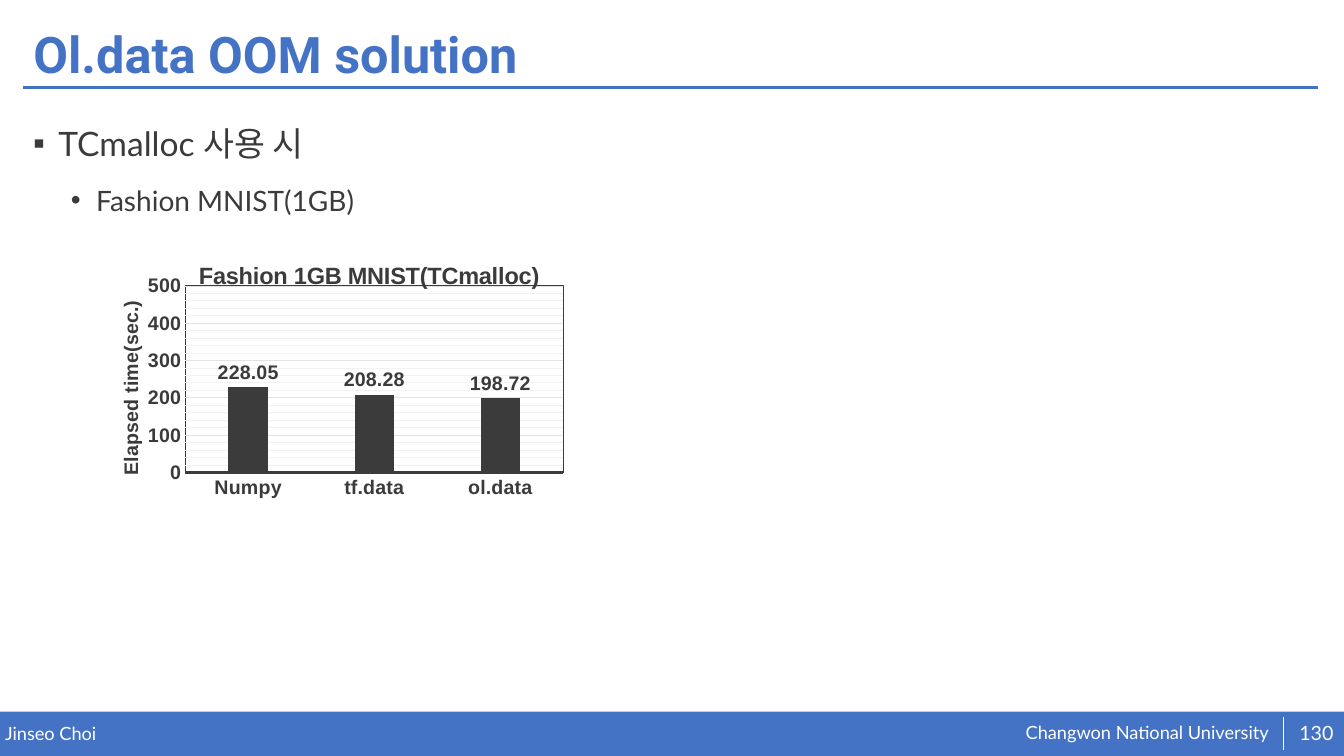
"""Build the slide on the Ol.data out-of-memory solution."""
from dataclasses import dataclass

from lxml import etree
from pptx import Presentation
from pptx.chart.data import CategoryChartData
from pptx.dml.color import RGBColor
from pptx.enum.chart import XL_CHART_TYPE, XL_LABEL_POSITION, XL_TICK_MARK
from pptx.enum.shapes import MSO_CONNECTOR, MSO_SHAPE
from pptx.enum.text import MSO_ANCHOR, PP_ALIGN
from pptx.oxml import parse_xml
from pptx.oxml.ns import nsdecls, qn
from pptx.util import Pt

BLUE = RGBColor(0x44, 0x72, 0xC4)
DARK = RGBColor(0x3B, 0x3B, 0x3B)
WHITE = RGBColor(0xFF, 0xFF, 0xFF)
MAJOR_GRID = RGBColor(0xE2, 0xE2, 0xE2)
MINOR_GRID = RGBColor(0xF2, 0xF2, 0xF2)
COLUMNS = XL_CHART_TYPE.COLUMN_CLUSTERED
OUTSIDE_END = XL_LABEL_POSITION.OUTSIDE_END
NO_TICK = XL_TICK_MARK.NONE
STRAIGHT = MSO_CONNECTOR.STRAIGHT
RECTANGLE = MSO_SHAPE.RECTANGLE
TOP, MIDDLE = MSO_ANCHOR.TOP, MSO_ANCHOR.MIDDLE
LEFT, CENTER, RIGHT = PP_ALIGN.LEFT, PP_ALIGN.CENTER, PP_ALIGN.RIGHT
TITLE_ONLY = 5
TITLE_TEXT = "Ol.data OOM solution"
ELAPSED_SECONDS = {"Numpy": 228.05, "tf.data": 208.28, "ol.data": 198.72}


@dataclass(frozen=True)
class Label:
    text: str
    left: float
    top: float
    width: float
    height: float
    size: float
    align: PP_ALIGN
    anchor: MSO_ANCHOR


@dataclass(frozen=True)
class Rule:
    start: tuple[float, float]
    end: tuple[float, float]
    color: RGBColor
    width: float


@dataclass(frozen=True)
class Bullet:
    text: str
    level: int
    mark: str
    margin: float
    size: float
    space_before: float


LABELS = [
    Label("Changwon National University", 722, 515.5, 184.1, 16.6, 13, RIGHT, TOP),
    Label("Jinseo Choi", 3.6, 516.2, 471.6, 15.8, 13, LEFT, TOP),
    Label("130", 923, 509, 34.6, 28.8, 14, CENTER, MIDDLE),
]
RULES = [
    Rule((16.6, 62.6), (941.8, 62.6), BLUE, 2),
    Rule((916.6, 511.9), (916.6, 535.7), WHITE, 0.5),
]
BULLETS = [
    Bullet("TCmalloc 사용 시", 0, "▪", 18, 24, 0),
    Bullet("Fashion MNIST(1GB)", 1, "•", 45, 20, 5),
]


def style_font(font, name: str, size: float, color: RGBColor, bold: bool = False) -> None:
    font.name, font.size, font.bold = name, Pt(size), bold
    font.color.rgb = color


def add_title(slide) -> None:
    title = slide.shapes.title
    title.left, title.top, title.width, title.height = Pt(16.6), Pt(13), Pt(926), Pt(55.4)
    title.text_frame.text = TITLE_TEXT
    title.text_frame.vertical_anchor = MIDDLE
    paragraph = title.text_frame.paragraphs[0]
    paragraph.alignment, paragraph.line_spacing = LEFT, 0.9
    style_font(paragraph.runs[0].font, "Roboto", 36, BLUE, True)


def add_footer_bar(slide) -> None:
    bar = slide.shapes.add_shape(RECTANGLE, 0, Pt(508.3), Pt(960), Pt(31.7))
    bar.shadow.inherit = False
    bar.fill.solid()
    bar.fill.fore_color.rgb = BLUE
    bar.line.fill.background()


def add_label(slide, label: Label) -> None:
    box = slide.shapes.add_textbox(Pt(label.left), Pt(label.top), Pt(label.width), Pt(label.height))
    frame = box.text_frame
    frame.margin_left = frame.margin_right = frame.margin_top = frame.margin_bottom = 0
    frame.word_wrap, frame.vertical_anchor = True, label.anchor
    frame.text = label.text
    frame.paragraphs[0].alignment = label.align
    style_font(frame.paragraphs[0].runs[0].font, "Lato", label.size, WHITE)


def add_rule(slide, rule: Rule) -> None:
    line = slide.shapes.add_connector(STRAIGHT, *map(Pt, rule.start + rule.end))
    line.line.color.rgb, line.line.width = rule.color, Pt(rule.width)
    etree.SubElement(line.element.spPr, qn("a:effectLst"))


def add_bullets(slide, bullets: list[Bullet]) -> None:
    frame = slide.shapes.add_textbox(Pt(16.6), Pt(72.7), Pt(926), Pt(405.4)).text_frame
    frame.word_wrap = True
    frame.text = "\n".join(bullet.text for bullet in bullets)
    for paragraph, bullet in zip(frame.paragraphs, bullets):
        paragraph.level, paragraph.line_spacing = bullet.level, 1.4
        paragraph.space_before = Pt(bullet.space_before)
        properties = paragraph._p.get_or_add_pPr()
        properties.set("marL", str(Pt(bullet.margin)))
        properties.set("indent", str(Pt(-18)))
        etree.SubElement(properties, qn("a:buFont"), typeface="Arial")
        etree.SubElement(properties, qn("a:buChar"), char=bullet.mark)
        style_font(paragraph.runs[0].font, "Lato", bullet.size, DARK)


def place(element, index: int, target: str = "", **position: float) -> None:
    """Give a chart element a manual layout in fractions of the chart."""
    for old in element.findall(qn("c:layout")):
        element.remove(old)
    layout = etree.Element(qn("c:layout"))
    manual = etree.SubElement(layout, qn("c:manualLayout"))
    if target:
        etree.SubElement(manual, qn("c:layoutTarget"), val=target)
    for mode in ("xMode", "yMode"):
        etree.SubElement(manual, qn(f"c:{mode}"), val="edge")
    for name, value in position.items():
        etree.SubElement(manual, qn(f"c:{name}"), val=str(value))
    element.insert(index, layout)


def add_outline(element, color: RGBColor, width: float, fill: str = "") -> None:
    element.append(parse_xml(
        f'<c:spPr {nsdecls("c", "a")}>{fill}<a:ln w="{Pt(width)}"><a:solidFill>'
        f'<a:srgbClr val="{color}"/></a:solidFill></a:ln></c:spPr>'))


def add_title_text(title, text: str, size: float, x: float, y: float) -> None:
    title.text_frame.text = text
    style_font(title.text_frame.paragraphs[0].runs[0].font, "Arial", size, DARK, True)
    place(title.element, 1, x=x, y=y)


def style_axes(chart) -> None:
    for axis in (chart.category_axis, chart.value_axis):
        axis.major_tick_mark = axis.minor_tick_mark = NO_TICK
        style_font(axis.tick_labels.font, "Arial", 14, DARK, True)
    chart.category_axis.format.line.color.rgb = DARK
    chart.category_axis.format.line.width = Pt(1.5)
    values = chart.value_axis
    values.minimum_scale, values.maximum_scale = 0, 500
    values.major_unit, values.minor_unit = 100, 20
    values.format.line.fill.background()
    values.has_major_gridlines = values.has_minor_gridlines = True
    values.major_gridlines.format.line.color.rgb = MAJOR_GRID
    values.major_gridlines.format.line.width = Pt(0.75)
    add_outline(chart.element.find(f".//{qn('c:minorGridlines')}"), MINOR_GRID, 0.75)
    add_title_text(values.axis_title, "Elapsed time(sec.)", 14, 0.02, 0.2)
    body = values.axis_title.element.find(f".//{qn('a:bodyPr')}")
    body.set("rot", "-5400000")
    body.set("vert", "horz")


def add_elapsed_chart(slide) -> None:
    data = CategoryChartData()
    data.categories = list(ELAPSED_SECONDS)
    data.add_series("Series 1", list(ELAPSED_SECONDS.values()))
    chart = slide.shapes.add_chart(COLUMNS, Pt(74.9), Pt(173.5), Pt(337.7), Pt(193), data).chart
    style_font(chart.font, "Arial", 14, DARK, True)
    chart.has_legend = False
    add_title_text(chart.chart_title, "Fashion 1GB MNIST(TCmalloc)", 16.8, 0.19, 0.05)
    style_axes(chart)
    plot = chart.plots[0]
    plot.gap_width, plot.overlap, plot.vary_by_categories = 219, -27, False
    plot.series[0].format.fill.solid()
    plot.series[0].format.fill.fore_color.rgb = DARK
    plot.has_data_labels = True
    plot.data_labels.show_value, plot.data_labels.position = True, OUTSIDE_END
    style_font(plot.data_labels.font, "Arial", 14, DARK, True)
    area = chart.element.find(f".//{qn('c:plotArea')}")
    place(area, 0, "inner", x=0.17, y=0.16, w=0.8, h=0.69)
    add_outline(area, DARK, 1, f'<a:solidFill><a:srgbClr val="{WHITE}"/></a:solidFill>')


def main() -> None:
    presentation = Presentation()
    presentation.slide_width, presentation.slide_height = Pt(960), Pt(540)
    slide = presentation.slides.add_slide(presentation.slide_layouts[TITLE_ONLY])
    add_footer_bar(slide)
    for rule in RULES:
        add_rule(slide, rule)
    add_title(slide)
    add_bullets(slide, BULLETS)
    for label in LABELS:
        add_label(slide, label)
    add_elapsed_chart(slide)
    presentation.save("out.pptx")


if __name__ == "__main__":
    main()
